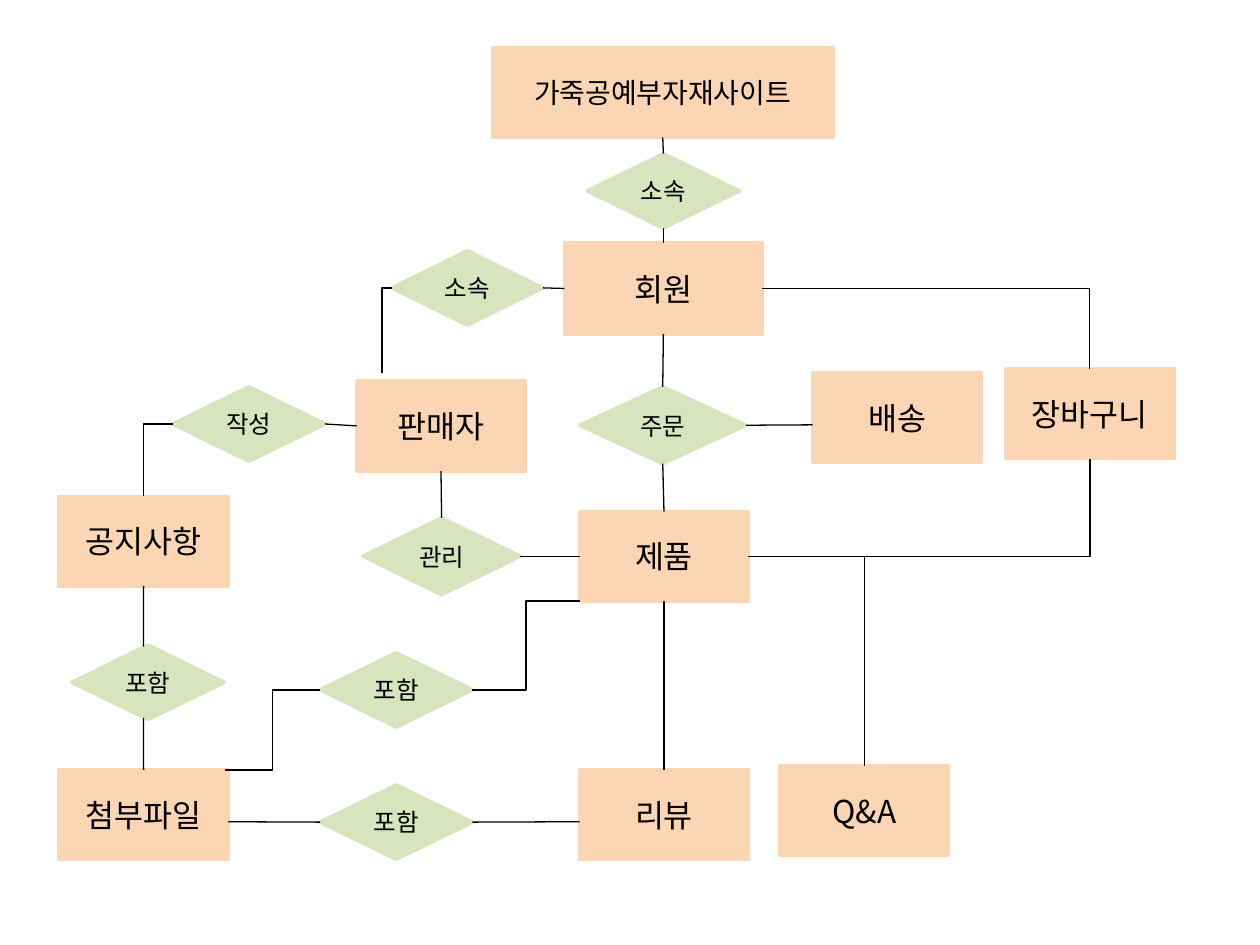
"""Build the entity-relationship diagram of a leather craft supplies site."""
from dataclasses import dataclass

from lxml import etree
from pptx import Presentation
from pptx.dml.color import RGBColor
from pptx.enum.shapes import MSO_CONNECTOR, MSO_SHAPE
from pptx.enum.text import MSO_ANCHOR, PP_ALIGN
from pptx.oxml.ns import qn
from pptx.util import Inches, Pt

RECTANGLE, DIAMOND = MSO_SHAPE.RECTANGLE, MSO_SHAPE.DIAMOND
STRAIGHT, ELBOW = MSO_CONNECTOR.STRAIGHT, MSO_CONNECTOR.ELBOW
MIDDLE, CENTER = MSO_ANCHOR.MIDDLE, PP_ALIGN.CENTER


@dataclass(frozen=True)
class Theme:
    font: str = "Noto Sans CJK KR"
    entity: RGBColor = RGBColor(0xFC, 0xD5, 0xB5)
    relation: RGBColor = RGBColor(0xD7, 0xE4, 0xBD)
    ink: RGBColor = RGBColor(0, 0, 0)
    title_size: int = 16
    entity_size: int = 18
    relation_size: int = 14
    border: float = 2
    link: float = 0.75


THEME = Theme()
ENTITY_SIZE = (1.34, 0.71)
RELATION_SIZE = (1.21, 0.59)

ENTITIES = {
    "site": ("가죽공예부자재사이트", 3.91, 0.38, 2.7, 0.71),
    "member": ("회원", 4.48, 1.93, 1.57, 0.72),
    "seller": ("판매자", 2.83, 3.02, 1.34, 0.72),
    "delivery": ("배송", 6.45, 2.96, *ENTITY_SIZE),
    "cart": ("장바구니", 7.98, 2.93, *ENTITY_SIZE),
    "notice": ("공지사항", 0.47, 3.94, *ENTITY_SIZE),
    "product": ("제품", 4.6, 4.06, *ENTITY_SIZE),
    "attachment": ("첨부파일", 0.47, 6.11, *ENTITY_SIZE),
    "review": ("리뷰", 4.6, 6.11, *ENTITY_SIZE),
    "question": ("Q&A", 6.19, 6.08, *ENTITY_SIZE),
}
RELATIONS = {
    "site_member": ("소속", 4.66, 1.22, *RELATION_SIZE),
    "member_seller": ("소속", 3.11, 1.99, 1.2, 0.59),
    "order": ("주문", 4.6, 3.07, 1.32, 0.61),
    "write": ("작성", 1.37, 3.07, *RELATION_SIZE),
    "manage": ("관리", 2.88, 4.11, 1.25, 0.61),
    "notice_file": ("포함", 0.57, 5.12, *RELATION_SIZE),
    "product_file": ("포함", 2.54, 5.18, *RELATION_SIZE),
    "review_file": ("포함", 2.54, 6.23, *RELATION_SIZE),
}

TOP, LEFT, BOTTOM, RIGHT = SITES = [(0.5, 0), (0, 0.5), (0.5, 1), (1, 0.5)]
LINE, CORNER, STEP = "line", "bentConnector2", "bentConnector3"
LINKS = [
    (LINE, "site", BOTTOM, "site_member", TOP),
    (LINE, "site_member", BOTTOM, "member", TOP),
    (LINE, "member", LEFT, "member_seller", RIGHT),
    (CORNER, "member_seller", LEFT, "seller", (0.15, -0.08)),
    (CORNER, "member", RIGHT, "cart", TOP),
    (LINE, "member", BOTTOM, "order", TOP),
    (LINE, "order", RIGHT, "delivery", (0, 0.58)),
    (LINE, "order", BOTTOM, "product", TOP),
    (LINE, "seller", LEFT, "write", RIGHT),
    (CORNER, "write", LEFT, "notice", TOP),
    (LINE, "seller", BOTTOM, "manage", TOP),
    (LINE, "manage", RIGHT, "product", LEFT),
    (CORNER, "product", RIGHT, "cart", BOTTOM),
    (CORNER, "product", RIGHT, "question", TOP),
    (LINE, "product", BOTTOM, "review", TOP),
    (LINE, "notice", BOTTOM, "notice_file", (0.47, 0.02)),
    (LINE, "notice_file", (0.47, 0.98), "attachment", TOP),
    (STEP, "product", (0, 1), "product_file", RIGHT),
    (STEP, "product_file", LEFT, "attachment", (0.98, 0)),
    (LINE, "review_file", RIGHT, "review", (0, 0.58)),
    (LINE, "review_file", LEFT, "attachment", (1, 0.58)),
]


def add_node(page, kind, color, size, text, *place):
    node = page.shapes.add_shape(kind, *map(Inches, place))
    node.shadow.inherit = False
    node.fill.solid()
    node.fill.fore_color.rgb = color
    node.line.color.rgb = color
    node.line.width = Pt(THEME.border)
    frame = node.text_frame
    frame.margin_left = frame.margin_right = frame.margin_top = frame.margin_bottom = 0
    frame.vertical_anchor = MIDDLE
    para = frame.paragraphs[0]
    para.text = text
    para.alignment = CENTER
    para.font.size = Pt(size)
    para.font.color.rgb = THEME.ink
    para.font.name = THEME.font
    east_asian = etree.SubElement(para._p.pPr.find(qn("a:defRPr")), qn("a:ea"))
    east_asian.set("typeface", THEME.font)
    return node


def point_on(node, share):
    return (round(node.left + node.width * share[0]),
            round(node.top + node.height * share[1]))


def add_link(page, kind, start, start_share, end, end_share):
    link = page.shapes.add_connector(
        STRAIGHT if kind == LINE else ELBOW,
        *point_on(start, start_share), *point_on(end, end_share))
    if start_share in SITES:
        link.begin_connect(start, SITES.index(start_share))
    if end_share in SITES:
        link.end_connect(end, SITES.index(end_share))
    link.line.color.rgb = THEME.ink
    link.line.width = Pt(THEME.link)
    properties = link._element.spPr
    properties.find(qn("a:prstGeom")).set("prst", kind)
    etree.SubElement(properties, qn("a:effectLst"))


deck = Presentation()
deck.slide_width, deck.slide_height = Inches(10), Inches(7.5)
page = deck.slides.add_slide(deck.slide_layouts[6])

nodes = {}
for name, entity in ENTITIES.items():
    size = THEME.title_size if name == "site" else THEME.entity_size
    nodes[name] = add_node(page, RECTANGLE, THEME.entity, size, *entity)
for name, relation in RELATIONS.items():
    nodes[name] = add_node(page, DIAMOND, THEME.relation, THEME.relation_size, *relation)
for kind, start, start_share, end, end_share in LINKS:
    add_link(page, kind, nodes[start], start_share, nodes[end], end_share)

deck.save("out.pptx")
